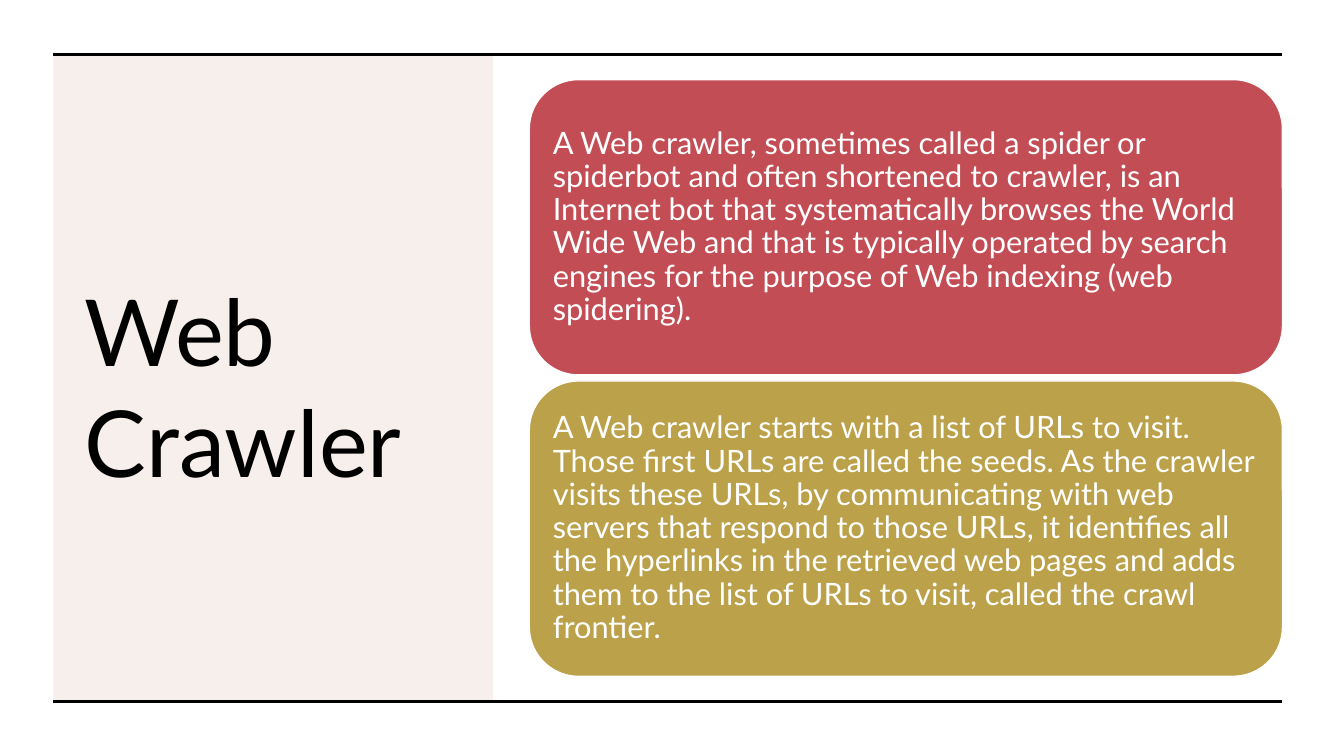
from dataclasses import dataclass

import lxml.etree
import pptx
import pptx.dml.color
import pptx.enum.shapes
import pptx.enum.text
import pptx.oxml.ns
import pptx.util

BLACK = pptx.dml.color.RGBColor(0x00, 0x00, 0x00)
WHITE = pptx.dml.color.RGBColor(0xFF, 0xFF, 0xFF)
BROWN = pptx.dml.color.RGBColor(0xB1, 0x65, 0x3B)
RED = pptx.dml.color.RGBColor(0xC3, 0x4D, 0x54)
OLIVE = pptx.dml.color.RGBColor(0xBB, 0xA1, 0x49)

FONT = "Lato"
WIDTH, HEIGHT = 13.33, 7.5
LEFT, RIGHT = 0.53, 12.72
TOP, BOTTOM = 0.54, 6.96
PANEL_WIDTH = 4.36
CARD_LEFT, CARD_TOP = 5.25, 0.79
CARD_HEIGHT, CARD_GAP = 2.93, 0.06
CARD_INSET = 0.09


@dataclass(frozen=True)
class Area:
    left: float
    top: float
    width: float
    height: float

    def lengths(self) -> list[int]:
        sides = (self.left, self.top, self.width, self.height)
        return [pptx.util.Inches(side) for side in sides]


@dataclass(frozen=True)
class Card:
    color: pptx.dml.color.RGBColor
    text: str


CARDS = [
    Card(RED, "A Web crawler, sometimes called a spider or spiderbot and often "
              "shortened to crawler, is an Internet bot that systematically browses "
              "the World Wide Web and that is typically operated by search engines "
              "for the purpose of Web indexing (web spidering)."),
    Card(OLIVE, "A Web crawler starts with a list of URLs to visit. Those first URLs "
                "are called the seeds. As the crawler visits these URLs, by "
                "communicating with web servers that respond to those URLs, it "
                "identifies all the hyperlinks in the retrieved web pages and adds "
                "them to the list of URLs to visit, called the crawl frontier."),
]


def write(shape, text: str, size: float, color: pptx.dml.color.RGBColor,
          spacing: float) -> None:
    frame = shape.text_frame
    frame.text = text
    frame.word_wrap = True
    frame.auto_size = pptx.enum.text.MSO_AUTO_SIZE.NONE
    frame.vertical_anchor = pptx.enum.text.MSO_ANCHOR.MIDDLE
    para = frame.paragraphs[0]
    para.alignment = pptx.enum.text.PP_ALIGN.LEFT
    para.line_spacing = spacing
    span = para.runs[0]
    span.font.name = FONT
    span.font.size = pptx.util.Pt(size)
    span.font.color.rgb = color


def add_block(page, kind, area: Area, color: pptx.dml.color.RGBColor):
    block = page.shapes.add_shape(kind, *area.lengths())
    block.shadow.inherit = False
    block.fill.solid()
    block.fill.fore_color.rgb = color
    block.line.fill.background()
    return block


def add_panel(page, area: Area) -> None:
    panel = add_block(page, pptx.enum.shapes.MSO_SHAPE.RECTANGLE, area, BROWN)
    tint = panel.element.spPr.find(".//" + pptx.oxml.ns.qn("a:srgbClr"))
    lxml.etree.SubElement(tint, pptx.oxml.ns.qn("a:alpha"), val="10000")
    page.shapes.title.element.addprevious(panel.element)


def add_rule(page, height: float) -> None:
    ends = [pptx.util.Inches(value) for value in (LEFT, height, RIGHT, height)]
    rule = page.shapes.add_connector(pptx.enum.shapes.MSO_CONNECTOR.STRAIGHT, *ends)
    rule.line.color.rgb = BLACK
    rule.line.width = pptx.util.Pt(2.25)
    lxml.etree.SubElement(rule.element.spPr, pptx.oxml.ns.qn("a:effectLst"))


def add_card(page, row: int, card: Card) -> None:
    area = Area(CARD_LEFT, CARD_TOP + row * (CARD_HEIGHT + CARD_GAP),
                RIGHT - CARD_LEFT, CARD_HEIGHT)
    box = add_block(page, pptx.enum.shapes.MSO_SHAPE.ROUNDED_RECTANGLE, area, card.color)
    box.line.color.rgb = WHITE
    box.line.width = pptx.util.Pt(1)
    frame = box.text_frame
    frame.margin_left = frame.margin_right = pptx.util.Inches(CARD_INSET)
    frame.margin_top = frame.margin_bottom = pptx.util.Inches(CARD_INSET)
    write(box, card.text, 22, WHITE, 0.9)


def set_title(page, area: Area, text: str) -> None:
    title = page.shapes.title
    title.left, title.top, title.width, title.height = area.lengths()
    write(title, text, 66, BLACK, 1.0)


deck = pptx.Presentation()
deck.slide_width = pptx.util.Inches(WIDTH)
deck.slide_height = pptx.util.Inches(HEIGHT)
page = deck.slides.add_slide(deck.slide_layouts.get_by_name("Title Only"))

add_panel(page, Area(LEFT, TOP, PANEL_WIDTH, BOTTOM - TOP))
set_title(page, Area(0.74, 1.07, 3.89, 5.5), "Web Crawler")
for height in (TOP, BOTTOM):
    add_rule(page, height)
for row, card in enumerate(CARDS):
    add_card(page, row, card)

deck.save("out.pptx")
